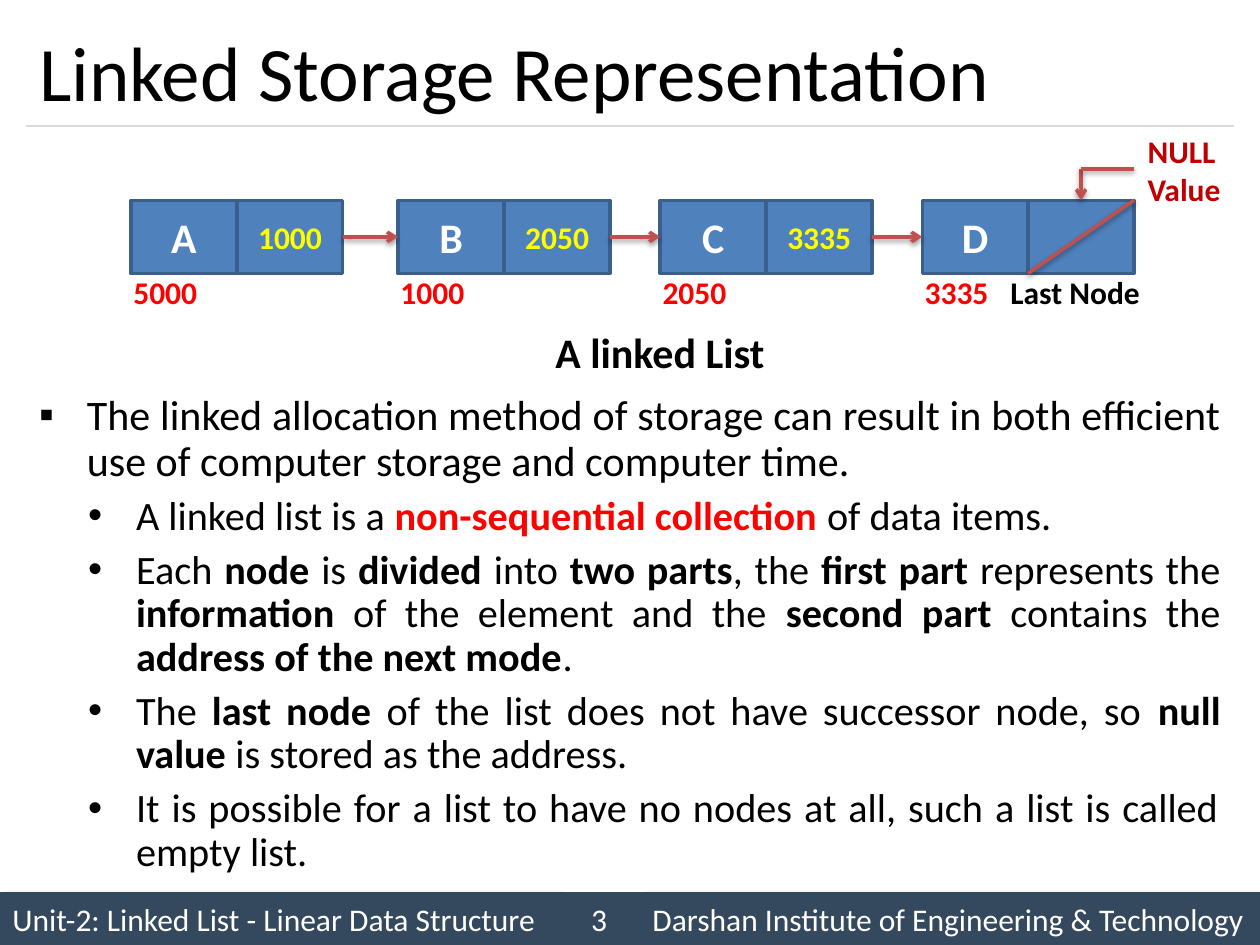
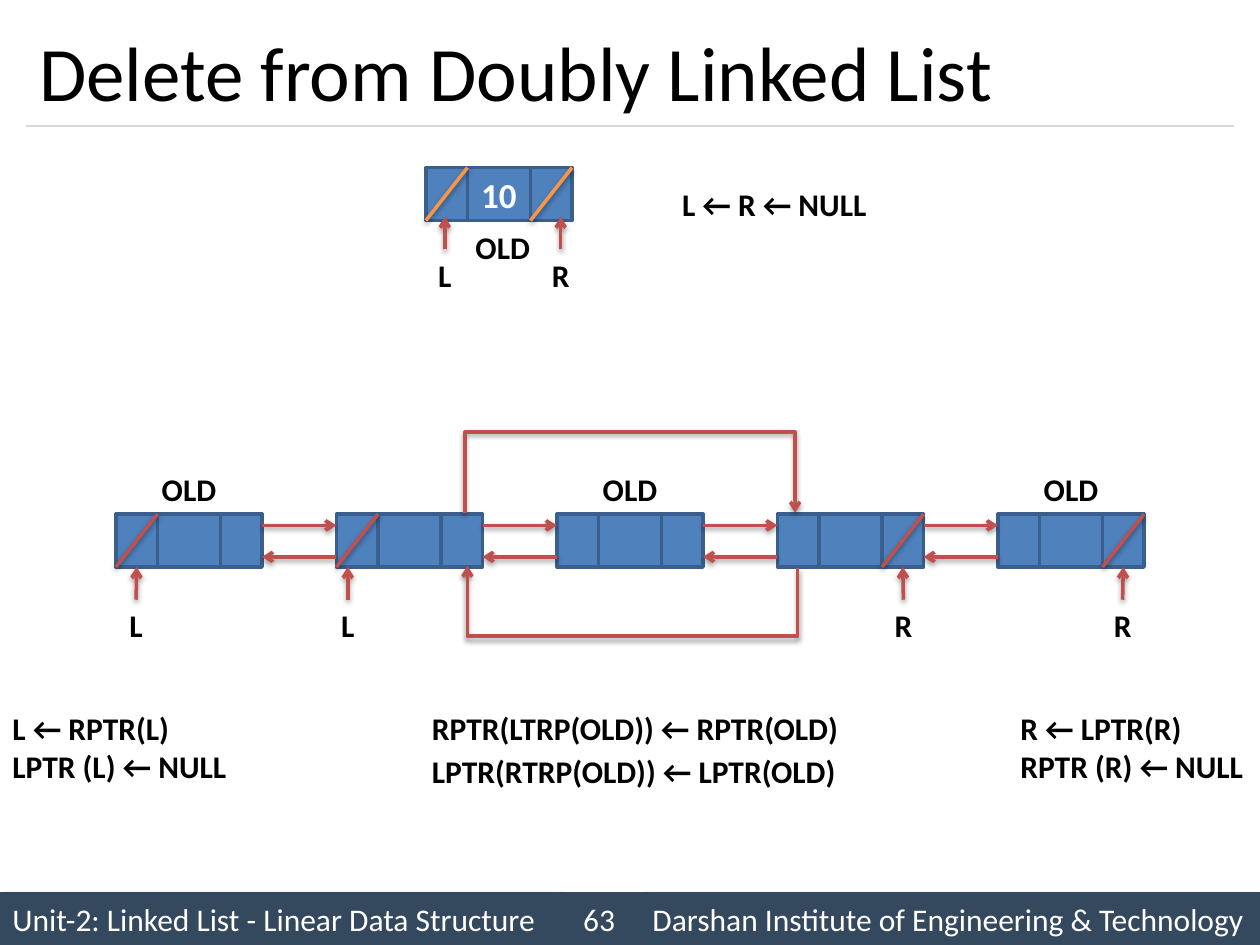
"""Build two slides on linked lists with a shared title and footer style."""
from dataclasses import dataclass

from lxml import etree
from pptx import Presentation
from pptx.dml.color import RGBColor
from pptx.enum.shapes import MSO_CONNECTOR, MSO_SHAPE
from pptx.enum.text import MSO_ANCHOR, MSO_AUTO_SIZE, PP_ALIGN
from pptx.oxml.ns import qn
from pptx.util import Inches, Pt

RECT = MSO_SHAPE.RECTANGLE
STRAIGHT = MSO_CONNECTOR.STRAIGHT
LEFT, MID, FULL = PP_ALIGN.LEFT, PP_ALIGN.CENTER, PP_ALIGN.JUSTIFY
TOP, CENTER = MSO_ANCHOR.TOP, MSO_ANCHOR.MIDDLE
FIXED, GROW = MSO_AUTO_SIZE.NONE, MSO_AUTO_SIZE.SHAPE_TO_FIT_TEXT
ABOVE, SIDE, BELOW, NEXT = range(4)


@dataclass(frozen=True)
class Theme:
    font: str = "Calibri"
    black: str = "000000"
    white: str = "FFFFFF"
    band: str = "34495E"
    rule: str = "D9D9D9"
    cell: str = "4F81BD"
    edge: str = "3A5F8C"
    arrow: str = "C0504D"
    slash: str = "F79646"
    red: str = "FF0000"
    dark: str = "C00000"
    gold: str = "FFFF00"
    title: float = 44
    head: float = 24
    sub: float = 23
    mid: float = 20
    small: float = 18


THEME = Theme()


def color(code):
    return RGBColor.from_string(code)


def write(para, text, size=THEME.small, ink=THEME.black, bold=False, hot=None, align=LEFT):
    para.alignment = align
    for spot, part in enumerate(text.split("|")):
        if not part:
            continue
        run = para.add_run()
        run.text = part
        run.font.name, run.font.size = THEME.font, Pt(size)
        run.font.bold = bold or spot % 2 == 1
        run.font.color.rgb = color(hot if hot and spot % 2 else ink)


def shade(shape, alpha, blur, dist, angle):
    props = shape.element.spPr
    for old in props.findall(qn("a:effectLst")):
        props.remove(old)
    effects = etree.SubElement(props, qn("a:effectLst"))
    if alpha:
        cast = etree.SubElement(effects, qn("a:outerShdw"), blurRad=str(Pt(blur)),
                                dist=str(Pt(dist)), dir=str(angle * 60000),
                                rotWithShape="0")
        tone = etree.SubElement(cast, qn("a:srgbClr"), val=THEME.black)
        etree.SubElement(tone, qn("a:alpha"), val=str(alpha * 1000))


class Deck:
    """Hold the theme and the current slide, and draw its elements."""

    def __init__(self, theme):
        self.theme = theme
        self.prs = Presentation()
        self.prs.slide_width, self.prs.slide_height = Inches(10), Inches(7.5)

    def start(self, title, number, layout):
        t = self.theme
        self.slide = self.prs.slides.add_slide(self.prs.slide_layouts[layout])
        self.shapes = self.slide.shapes
        self.band(0, 4.42, "Unit-2: Linked List - Linear Data Structure", 40)
        self.line((0.21, 1), (9.79, 1), ink=t.rule, width=0.75, tip=False, alpha=0)
        self.band(5.08, 4.92, "Darshan Institute of Engineering & Technology", 40)
        self.band(4.42, 0.67, number, 0, MID)
        frame = self.place(self.shapes.title, 0.21, 0.12, 9.58, 0.88)
        frame.vertical_anchor = CENTER
        write(frame.paragraphs[0], title, size=t.title)

    def place(self, holder, x, y, w, h):
        holder.left, holder.top = Inches(x), Inches(y)
        holder.width, holder.height = Inches(w), Inches(h)
        frame = holder.text_frame
        frame.word_wrap, frame.auto_size = True, FIXED
        return frame

    def rect(self, host, x, y, w, h, fill, edge=None):
        shape = host.add_shape(RECT, Inches(x), Inches(y), Inches(w), Inches(h))
        shape.shadow.inherit = False
        shape.fill.solid()
        shape.fill.fore_color.rgb = color(fill)
        if edge:
            shape.line.color.rgb, shape.line.width = color(edge), Pt(2)
        else:
            shape.line.fill.background()
        shape.text_frame.vertical_anchor = CENTER
        return shape

    def band(self, x, w, text, alpha, align=LEFT):
        shape = self.rect(self.shapes, x, 7.08, w, 0.42, self.theme.band)
        shade(shape, alpha, 4, 3, 45)
        write(shape.text_frame.paragraphs[0], text, ink=self.theme.white, align=align)

    def node(self, x, y, widths, h, text="", spot=0, size=THEME.head):
        group = self.shapes.add_group_shape()
        cells = []
        for w in widths:
            cells.append(self.rect(group.shapes, x, y, w, h, self.theme.cell, self.theme.edge))
            x += w
        if text:
            write(cells[spot].text_frame.paragraphs[0], text, size=size,
                  ink=self.theme.white, bold=True, align=MID)
        return cells

    def stroke(self, shape, ink, width, tip, alpha):
        shape.line.color.rgb, shape.line.width = color(ink), Pt(width)
        if tip:
            etree.SubElement(shape.element.spPr.find(qn("a:ln")), qn("a:tailEnd"), type="arrow")
        shade(shape, alpha, 3.1, 1.6, 90)

    def line(self, start, end, ink=THEME.arrow, width=2, tip=True, alpha=38, join=None):
        link = self.shapes.add_connector(STRAIGHT, *map(Inches, (*start, *end)))
        if join:
            link.end_connect(*join)
        self.stroke(link, ink, width, tip, alpha)
        return link

    def slash(self, cell, ink=THEME.arrow):
        x, y = cell.left.inches, cell.top.inches
        self.line((x + cell.width.inches, y), (x, y + cell.height.inches), ink, tip=False)

    def bend(self, points):
        first, *rest = [tuple(map(Inches, point)) for point in points]
        pen = self.shapes.build_freeform(*first)
        pen.add_line_segments(rest, close=False)
        shape = pen.convert_to_shape()
        shape.fill.background()
        self.stroke(shape, self.theme.arrow, 2, True, 38)

    def label(self, x, y, w, *lines, h=0.4, **style):
        box = self.shapes.add_textbox(Inches(x), Inches(y), Inches(w), Inches(h))
        frame = box.text_frame
        frame.word_wrap, frame.auto_size = False, GROW
        for spot, text in enumerate(lines):
            para = frame.add_paragraph() if spot else frame.paragraphs[0]
            write(para, text, bold=True, **style)

    def bullets(self, items):
        frame = self.place(self.slide.placeholders[1], 0.21, 3.08, 9.58, 3.92)
        frame.vertical_anchor = TOP
        for spot, (level, text, hot) in enumerate(items):
            para = frame.add_paragraph() if spot else frame.paragraphs[0]
            para.level, para.line_spacing = level, 0.9
            para.space_before, para.space_after = Pt(6 if spot else 0), Pt(0)
            props = para._p.get_or_add_pPr()
            props.set("marL", str(Inches(0.77 if level else 0.38)))
            props.set("indent", str(Inches(-0.38)))
            etree.SubElement(props, qn("a:buChar"), char="•" if level else "▪")
            write(para, text, size=self.theme.sub if level else self.theme.head,
                  hot=hot, align=FULL)


def storage(deck):
    t = deck.theme
    deck.start("Linked Storage Representation", "3", 1)
    deck.bullets([
        (0, "The linked allocation method of storage can result in both efficient "
            "use of computer storage and computer time.", None),
        (1, "A linked list is a |non-sequential collection |of data items.", t.red),
        (1, "Each |node| is |divided| into |two parts|, the |first part |represents the "
            "|information| of the element and the |second part |contains the "
            "|address of the next mode|.", None),
        (1, "The |last node |of the list does not have successor node, so "
            "|null value |is stored as the address.", None),
        (1, "It is possible for a list to have no nodes at all, such a list is called "
            "empty list.", None),
    ])
    items = [(1.04, "A", "5000", "1000"), (3.16, "B", "1000", "2050"),
             (5.24, "C", "2050", "3335"), (7.32, "D", "3335", "")]
    nodes = [deck.node(x, 1.59, (0.84, 0.84), 0.58, name) for x, name, _, _ in items]
    for this, after in zip(nodes, nodes[1:]):
        link = deck.line((2.72, 1.88), (3.16, 1.88), join=(after[0], SIDE))
        link.begin_connect(this[1], NEXT)
    for x, _, own, link in items:
        deck.label(x - 0.08, 2.12, 0.71, own, ink=t.red)
        if link:
            deck.label(x + 0.91, 1.68, 0.71, link, ink=t.gold)
    last = nodes[-1][1]
    deck.slash(last)
    deck.label(4.31, 2.54, 1.88, "A linked List", size=t.head)
    deck.line((8.58, 1.34), (8.58, 1.59), join=(last, ABOVE))
    deck.line((8.58, 1.34), (9, 1.34), tip=False)
    deck.label(9.01, 1, 0.81, "NULL", "Value", h=0.71, ink=t.dark)
    deck.label(7.92, 2.12, 1.24, "Last Node")


def delete(deck):
    t = deck.theme
    parts, step, top, h = (0.33, 0.5, 0.33), 1.75, 4.08, 0.42
    deck.start("Delete from Doubly Linked List", "63", 5)

    old = deck.node(3.38, 1.33, parts, h, "10", 1, t.mid)
    for cell in (old[0], old[2]):
        deck.slash(cell, t.slash)
    deck.label(3.67, 1.76, 0.64, "OLD", align=MID)
    for x, name in ((3.53, "L"), (4.45, "R")):
        deck.line((x, 1.98), (x, 1.72))
        deck.label(x - 0.17, 1.98, 0.34, name, align=MID)
    deck.label(5.29, 1.42, 1.71, "L ← R ← NULL", align=MID)

    starts = [0.92 + step * spot for spot in range(5)]
    nodes = [deck.node(x, top, parts, h) for x in starts]
    for x in starts[:-1]:
        near, far = x + sum(parts), x + step
        deck.line((near, 4.17), (far, 4.17))
        deck.line((far, 4.42), (near, 4.42))
    for spot, side, x, name in ((0, 0, 1.08, "L"), (1, 0, 2.76, "L"),
                                (3, 2, 7.17, "R"), (4, 2, 8.91, "R")):
        cell = nodes[spot][side]
        deck.slash(cell)
        deck.line((x, 4.76), (x, 4.5), join=None if spot == 1 else (cell, BELOW))
        deck.label(x - 0.17, 4.76, 0.34, name, align=MID)
    for spot in (0, 2, 4):
        deck.label(1.18 + step * spot, 3.68, 0.64, "OLD", align=MID)
    deck.bend([(3.69, 4.07), (3.69, 3.43), (6.31, 3.43), (6.31, 4.07)])
    deck.bend([(6.33, 4.51), (6.33, 5.05), (3.71, 5.05), (3.71, 4.49)])

    deck.label(0, 5.58, 2, "L ← RPTR(L)", "LPTR (L) ← NULL", h=0.71)
    deck.label(8, 5.58, 2, "R ← LPTR(R)", "RPTR (R) ← NULL", h=0.71)
    deck.label(3.33, 5.58, 3.49, "RPTR(LTRP(OLD)) ← RPTR(OLD)")
    deck.label(3.33, 5.92, 3.47, "LPTR(RTRP(OLD)) ← LPTR(OLD)")


def main():
    deck = Deck(THEME)
    storage(deck)
    delete(deck)
    deck.prs.save("out.pptx")


if __name__ == "__main__":
    main()
